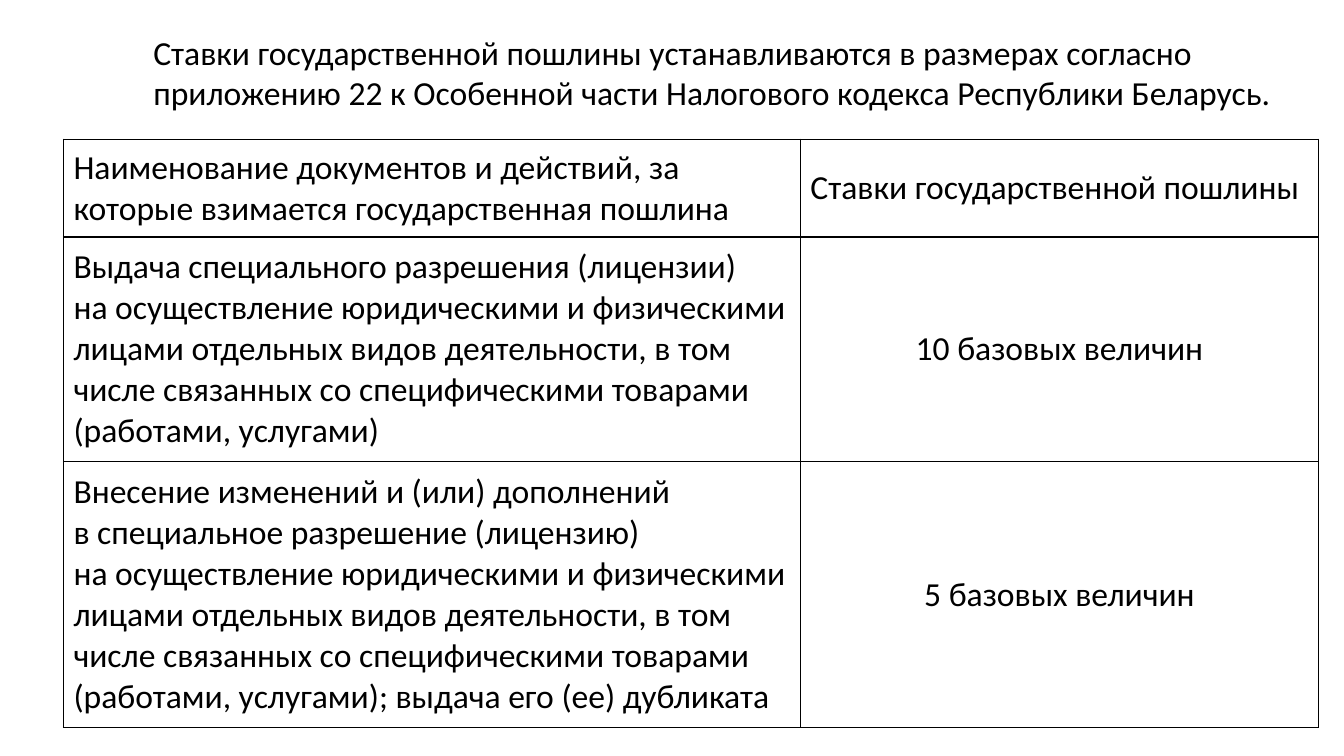
from dataclasses import dataclass

import pptx
import pptx.dml.color
import pptx.enum.text
import pptx.oxml
import pptx.oxml.ns
import pptx.util
from pptx.util import Cm

FONT = "Calibri"
BLACK = "000000"
LEFT = pptx.enum.text.PP_ALIGN.LEFT
CENTER = pptx.enum.text.PP_ALIGN.CENTER
MIDDLE = pptx.enum.text.MSO_ANCHOR.MIDDLE


@dataclass
class FeeRow:
    action: str
    rate: str
    height: float
    rate_align: pptx.enum.text.PP_ALIGN = CENTER


HEADING = (
    "Ставки государственной пошлины устанавливаются в размерах согласно "
    "приложению 22 к Особенной части Налогового кодекса Республики Беларусь."
)
ACTIVITY = (
    "на осуществление юридическими и физическими лицами отдельных видов "
    "деятельности, в том числе связанных со специфическими товарами "
    "(работами, услугами)"
)
FEE_ROWS = [
    FeeRow(
        "Наименование документов и действий, за которые взимается "
        "государственная пошлина",
        "Ставки государственной пошлины", 2.46, LEFT,
    ),
    FeeRow(
        f"Выдача специального разрешения (лицензии) \n{ACTIVITY}",
        "10 базовых величин", 5.66,
    ),
    FeeRow(
        "Внесение изменений и (или) дополнений \n"
        f"в специальное разрешение (лицензию) \n{ACTIVITY}; "
        "выдача его (ее) дубликата",
        "5 базовых величин", 6.71,
    ),
]
COLUMN_WIDTHS = [18.57, 13.06]


def color(value: str) -> pptx.dml.color.RGBColor:
    return pptx.dml.color.RGBColor.from_string(value)


def write(frame, text: str, *, size: float = 24, fill: str = BLACK,
          align: pptx.enum.text.PP_ALIGN = LEFT) -> None:
    """Put one paragraph into a text frame; newlines become line breaks."""
    para = frame.paragraphs[0]
    para.text = text
    para.alignment = align
    for span in para.runs:
        span.font.name = FONT
        span.font.size = pptx.util.Pt(size)
        span.font.color.rgb = color(fill)


def add_borders(cell, width: float = 1, line: str = BLACK) -> None:
    properties = cell._tc.get_or_add_tcPr()
    for side in "LRTB":
        properties.append(pptx.oxml.parse_xml(
            f'<a:ln{side} {pptx.oxml.ns.nsdecls("a")} w="{pptx.util.Pt(width)}">'
            f'<a:solidFill><a:srgbClr val="{line}"/></a:solidFill></a:ln{side}>'
        ))


def add_heading(slide) -> None:
    title = slide.shapes.title
    title.left, title.top = Cm(3.61), Cm(0.66)
    title.width, title.height = Cm(31.06), Cm(2.31)
    frame = title.text_frame
    frame.word_wrap = True
    frame.auto_size = pptx.enum.text.MSO_AUTO_SIZE.SHAPE_TO_FIT_TEXT
    frame.vertical_anchor = MIDDLE
    write(frame, HEADING)


def add_fee_table(slide) -> None:
    table = slide.shapes.add_table(
        len(FEE_ROWS), len(COLUMN_WIDTHS), Cm(1.6), Cm(3.51),
        Cm(sum(COLUMN_WIDTHS)), Cm(sum(row.height for row in FEE_ROWS)),
    ).table
    table.first_row = table.horz_banding = False
    for column, width in zip(table.columns, COLUMN_WIDTHS):
        column.width = Cm(width)
    for index, row in enumerate(FEE_ROWS):
        table.rows[index].height = Cm(row.height)
        contents = [(row.action, LEFT), (row.rate, row.rate_align)]
        for column_index, (text, align) in enumerate(contents):
            cell = table.cell(index, column_index)
            add_borders(cell)
            cell.fill.background()
            cell.vertical_anchor = MIDDLE
            write(cell.text_frame, text, align=align)


def main() -> None:
    deck = pptx.Presentation()
    deck.slide_width, deck.slide_height = Cm(33.87), Cm(19.05)
    slide = deck.slides.add_slide(deck.slide_layouts[5])
    add_fee_table(slide)
    add_heading(slide)
    deck.save("out.pptx")


if __name__ == "__main__":
    main()
